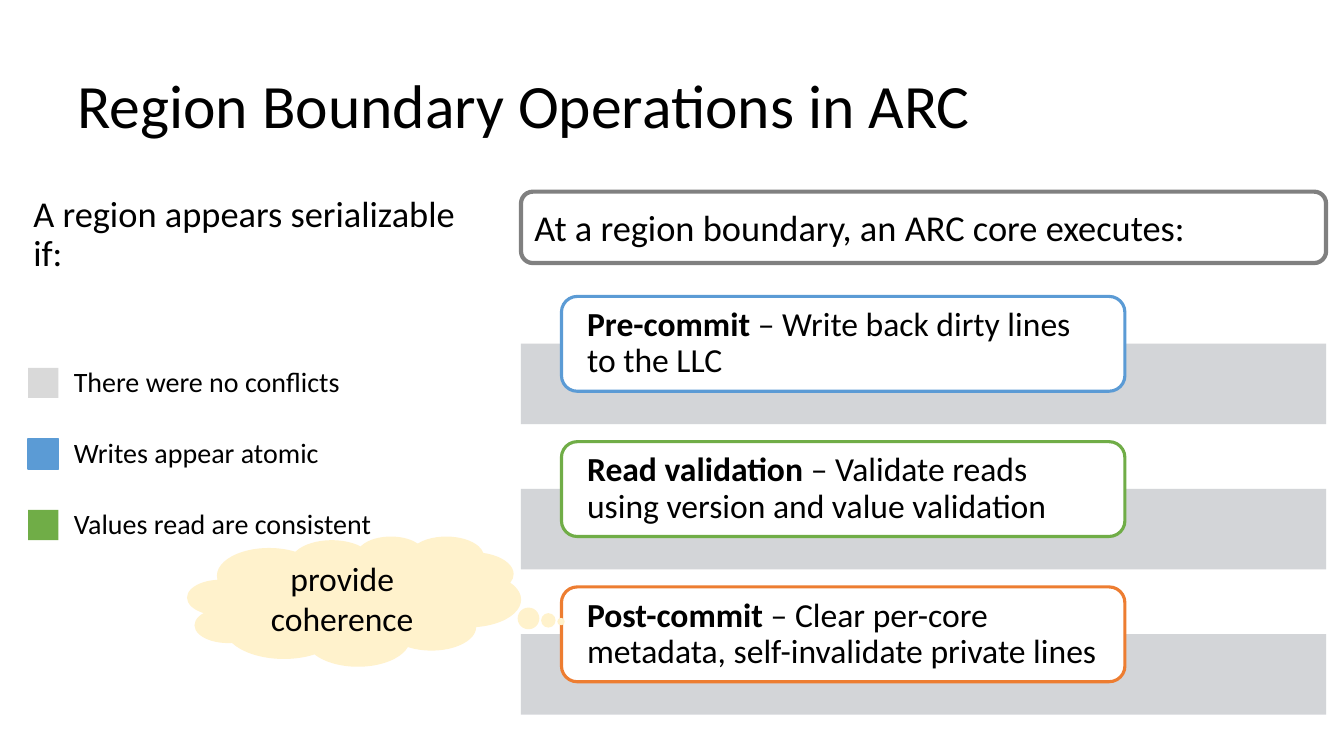
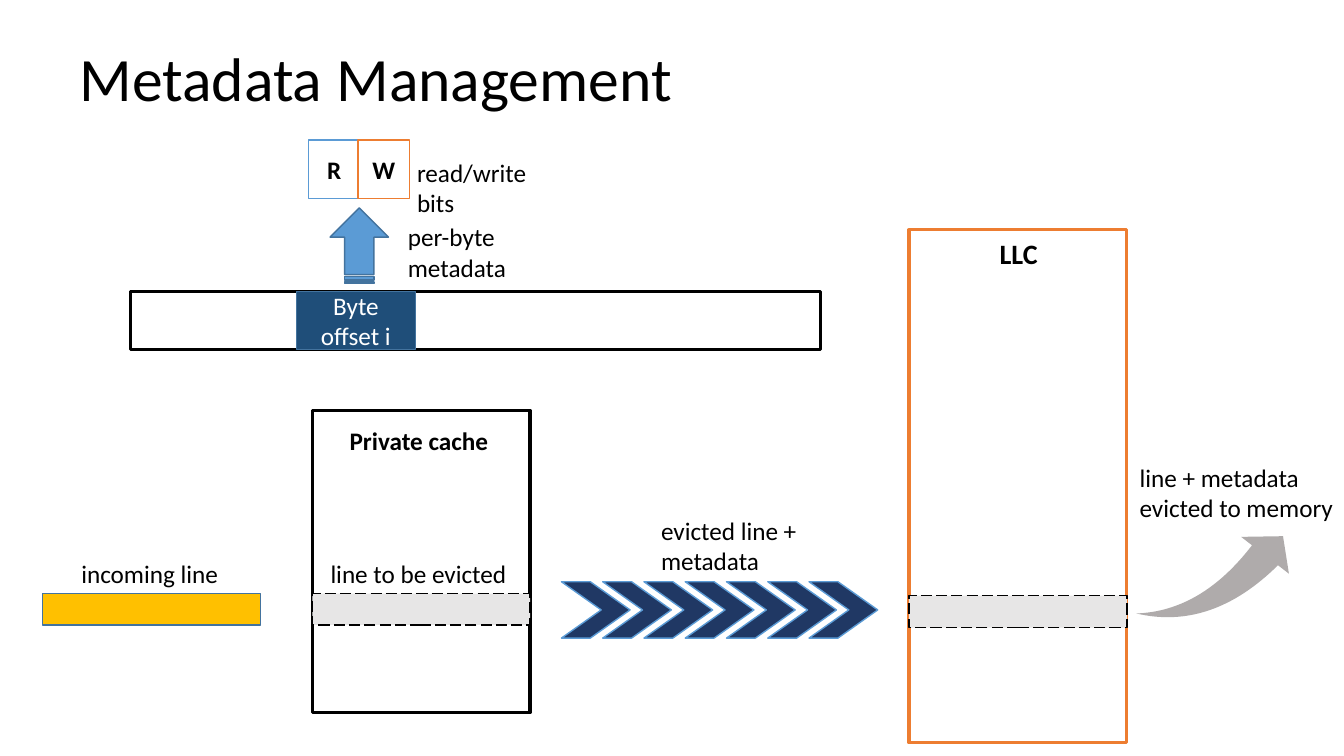
from dataclasses import dataclass

from lxml import etree
from pptx import Presentation
from pptx import util as u
from pptx.dml.color import RGBColor
from pptx.enum import dml, shapes, text
from pptx.oxml.ns import qn

KIND = shapes.MSO_SHAPE
LEFT, MID = text.PP_ALIGN.LEFT, text.PP_ALIGN.CENTER


@dataclass(frozen=True)
class Theme:
    font: str = "Calibri"
    black: str = "000000"
    white: str = "FFFFFF"
    blue: str = "5B9BD5"
    green: str = "70AD47"
    orange: str = "ED7D31"
    gold: str = "FFC000"
    cream: str = "FFF2CC"
    navy: str = "203864"
    deep: str = "1F4E79"
    steel: str = "43739E"
    gray: str = "808080"
    swoosh: str = "AFABAB"
    band: str = "CFD1D4"
    pale: str = "D9D9D9"
    cell: str = "E7E6E6"
    title: int = 44
    head: int = 26
    card: int = 24
    item: int = 20
    note: int = 18


T = Theme()


class Deck:
    def __init__(self):
        self.file = Presentation()
        self.file.slide_width = u.Cm(33.87)
        self.file.slide_height = u.Cm(19.05)
        self.slide = None

    def page(self, words, left, top):
        """Add a slide with its title."""
        self.slide = self.file.slides.add_slide(self.file.slide_layouts[5])
        title = self.slide.shapes.title
        box = dict(left=left, top=top, width=30.48, height=2.97)
        for name, size in box.items():
            setattr(title, name, u.Cm(size))
        self.letter(title, words, size=T.title, space=0.9)

    def letter(self, shape, words, size=T.note, color=T.black, bold=False,
               align=LEFT, space=None, pad=(0.25, 0.13), wrap=True,
               anchor=text.MSO_ANCHOR.MIDDLE):
        """Fill a shape with one paragraph; words is a string or (text, bold) pairs."""
        frame = shape.text_frame
        x, y = map(u.Cm, pad)
        look = dict(word_wrap=wrap, auto_size=text.MSO_AUTO_SIZE.NONE,
                    vertical_anchor=anchor, margin_left=x, margin_right=x,
                    margin_top=y, margin_bottom=y)
        for name, value in look.items():
            setattr(frame, name, value)
        para = frame.paragraphs[0]
        para.alignment, para.line_spacing = align, space
        for part, heavy in [(words, bold)] if isinstance(words, str) else words:
            run = para.add_run()
            run.text = part
            for name, value in dict(name=T.font, size=u.Pt(size), bold=heavy).items():
                setattr(run.font, name, value)
            run.font.color.rgb = RGBColor.from_string(color)

    def label(self, box, words, anchor=text.MSO_ANCHOR.TOP, **form):
        frame = self.slide.shapes.add_textbox(*map(u.Cm, box))
        self.letter(frame, words, anchor=anchor, **form)

    def shape(self, kind, box, fill, edge=None, width=1, dash=None, alpha=None,
              turn=0, flip=False, adjust=(), words=None, **form):
        item = self.slide.shapes.add_shape(kind, *map(u.Cm, box))
        item.shadow.inherit = False
        item.rotation = turn
        for i, value in enumerate(adjust):
            item.adjustments[i] = value
        item.fill.solid()
        item.fill.fore_color.rgb = RGBColor.from_string(fill)
        if alpha:
            color = item._element.spPr.find(".//" + qn("a:srgbClr"))
            etree.SubElement(color, qn("a:alpha")).set("val", str(alpha * 1000))
        if edge:
            item.line.color.rgb = RGBColor.from_string(edge)
            item.line.width = u.Pt(width)
            item.line.dash_style = dash
        else:
            item.line.fill.background()
        if flip:
            item._element.spPr.find(qn("a:xfrm")).set("flipV", "1")
        if words:
            self.letter(item, words, **form)

    def rect(self, box, fill, edge=None, **form):
        self.shape(KIND.RECTANGLE, box, fill, edge, **form)


def regions(deck):
    deck.page("Region Boundary Operations in ARC", 1.7, 1.24)
    middle = text.MSO_ANCHOR.MIDDLE
    deck.label((0.71, 4.83, 11.71, 2.21), "A region appears serializable if:",
               anchor=middle, size=T.head, space=0.9, pad=(0.13, 0.1))
    rules = [("There were no conflicts", T.pale, None),
             ("Writes appear atomic", T.blue, T.blue),
             ("Values read are consistent", T.green, None)]
    for i, (words, fill, edge) in enumerate(rules):
        top = 9.27 + 1.79 * i
        deck.rect((0.71, top, 0.76, 0.76), fill, edge)
        deck.label((1.45, top - 0.51, 9.7, 1.78), words, anchor=middle,
                   size=T.item, space=0.9, pad=(0.41, 0.41))

    deck.shape(KIND.ROUNDED_RECTANGLE, (13.13, 4.83, 20.29, 1.8), T.white, T.gray,
               width=3, words="At a region boundary, an ARC core executes:",
               size=T.head)
    steps = [("Pre-commit", " – Write back dirty lines to the LLC", T.blue),
             ("Read validation", " – Validate reads using version and value validation",
              T.green),
             ("Post-commit", " – Clear per-core metadata, self-invalidate private lines",
              T.orange)]
    for i, (name, rest, edge) in enumerate(steps):
        top = 7.47 + 3.66 * i
        deck.rect((13.13, top + 1.19, 20.29, 2.03), T.band, alpha=90)
        deck.shape(KIND.ROUNDED_RECTANGLE, (14.15, top, 14.2, 2.39), T.white, edge,
                   width=2.25, words=[(name, True), (rest, False)],
                   size=T.card, space=0.9, pad=(0.53, 0))
    deck.shape(KIND.CLOUD_CALLOUT, (4.72, 13.51, 8.41, 3.28), T.cream,
               adjust=(0.62, 0.157), words="provide coherence",
               size=T.card, align=MID)


def metadata(deck):
    deck.page("Metadata Management", 1.75, 0.58)
    deck.rect((3.3, 7.34, 17.37, 1.47), T.white, T.black, width=2.25)
    deck.rect((7.47, 7.34, 3, 1.47), T.deep, T.steel, words="Byte offset i",
              color=T.white, align=MID)
    deck.shape(KIND.STRIPED_RIGHT_ARROW, (8.1, 5.46, 1.91, 1.47), T.blue, T.steel,
               turn=270)
    deck.label((10.03, 5.46, 3.94, 1.42), "per-byte metadata")
    for left, bit, edge in [(7.77, "R", T.blue), (9.02, "W", T.orange)]:
        deck.rect((left, 3.53, 1.3, 1.47), T.white, edge, words=bit, bold=True,
                  align=MID)
    deck.label((10.26, 3.84, 4.14, 0.81), "read/write bits")

    for i in range(7):
        deck.shape(KIND.CHEVRON, (14.15 + 1.04 * i, 14.66, 1.73, 1.42), T.navy, T.blue,
                   adjust=(0.706,))
    deck.label((16.41, 12.85, 4.52, 1.8), "evicted line + metadata")

    wide, dash = 5.49, dml.MSO_LINE.LONG_DASH
    cache, shared = 7.87, 22.91
    deck.rect((cache, 10.34, wide, 7.62), T.white, T.black, width=2.25)
    deck.rect((1.07, 14.96, wide, 0.79), T.gold, T.steel)
    deck.rect((cache, 14.96, wide, 0.79), T.cell, T.black, dash=dash)
    deck.rect((shared, 5.79, wide, 12.93), T.white, T.orange, width=2.25)
    deck.rect((shared, 15.01, wide, 0.81), T.cell, T.black, dash=dash)

    deck.label((1.8, 13.94, 4.01, 1.02), "incoming line", wrap=False)
    deck.label((8.08, 13.94, 5, 1.02), "line to be evicted", wrap=False)
    deck.label((24.94, 5.82, 1.5, 1.12), "LLC", size=T.item, bold=True, wrap=False)
    deck.label((8.56, 10.59, 4.04, 1.02), "Private cache", bold=True, wrap=False)
    deck.label((28.47, 11.51, wide, 1.8), "line + metadata evicted to memory")
    deck.shape(KIND.SWOOSH_ARROW, (28.96, 13.26, 3.58, 2.77), T.swoosh, turn=301.2,
               flip=True, adjust=(0.296, 0.25))


def main():
    deck = Deck()
    regions(deck)
    metadata(deck)
    deck.file.save("out.pptx")


if __name__ == "__main__":
    main()
